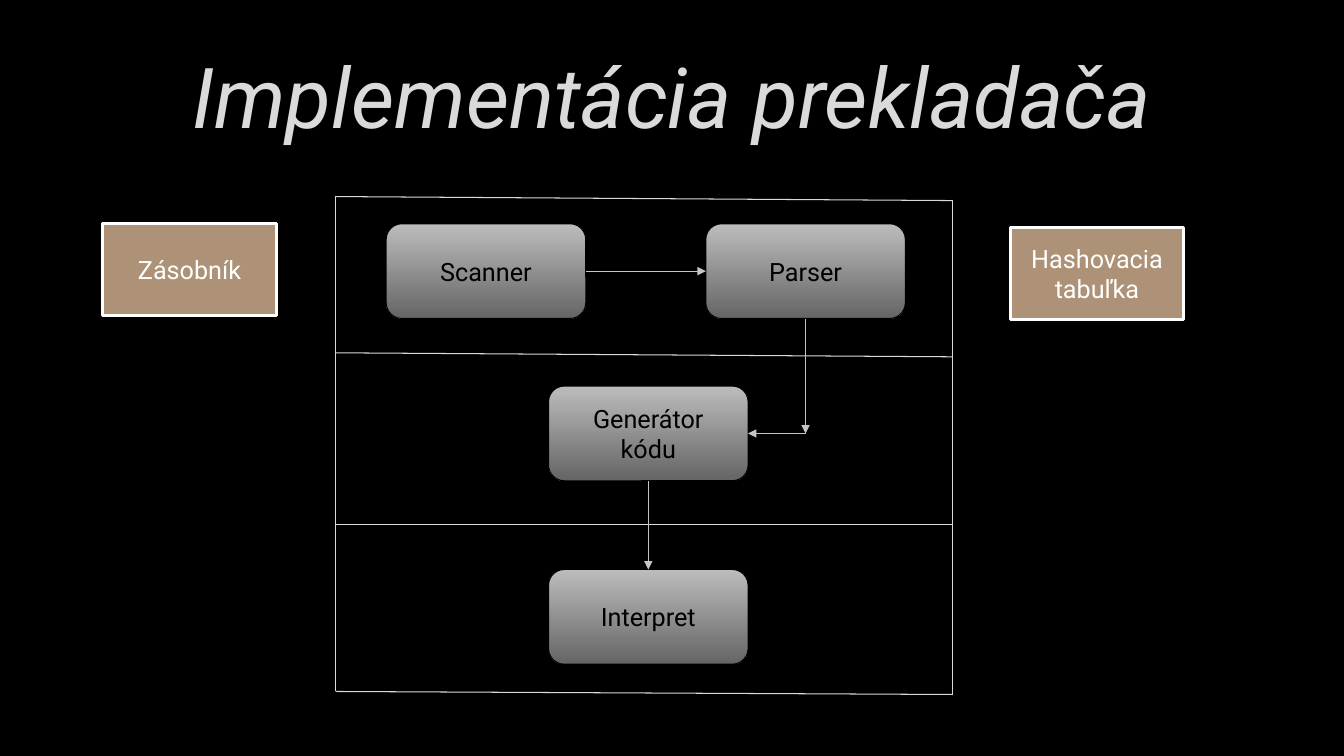
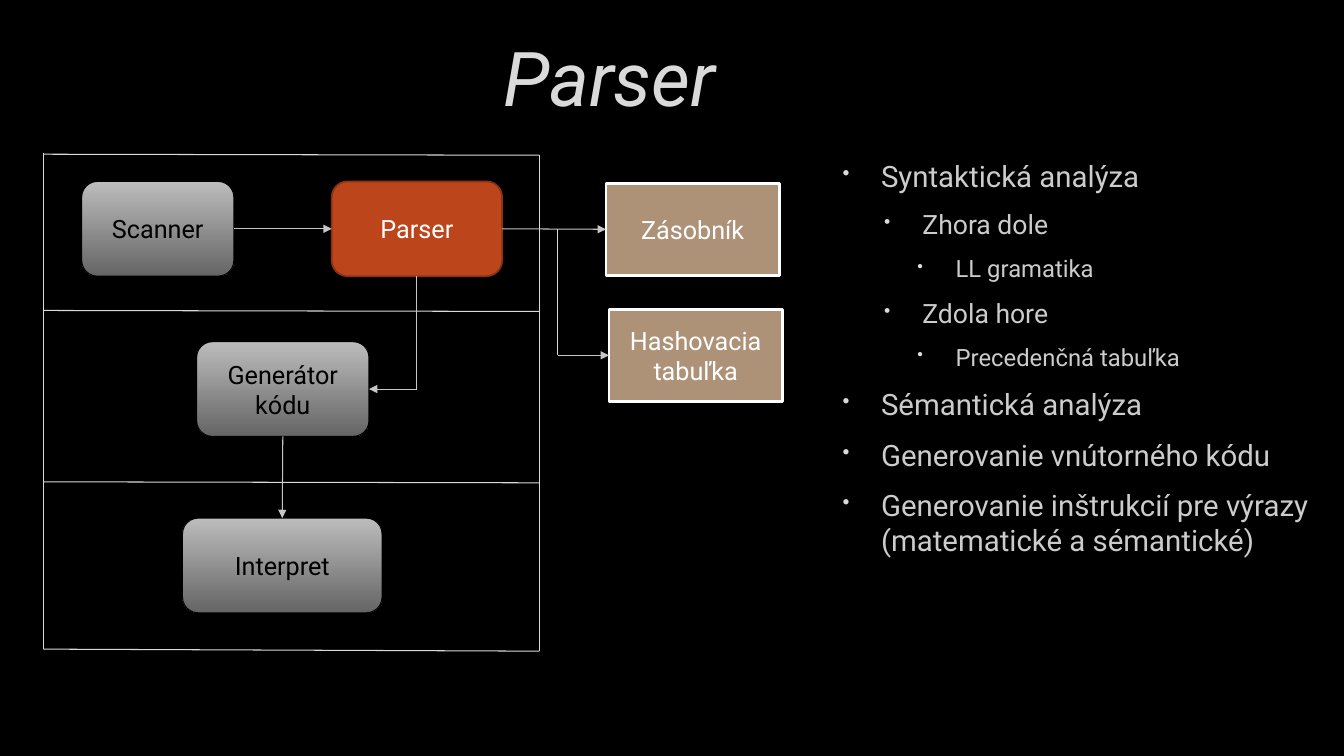
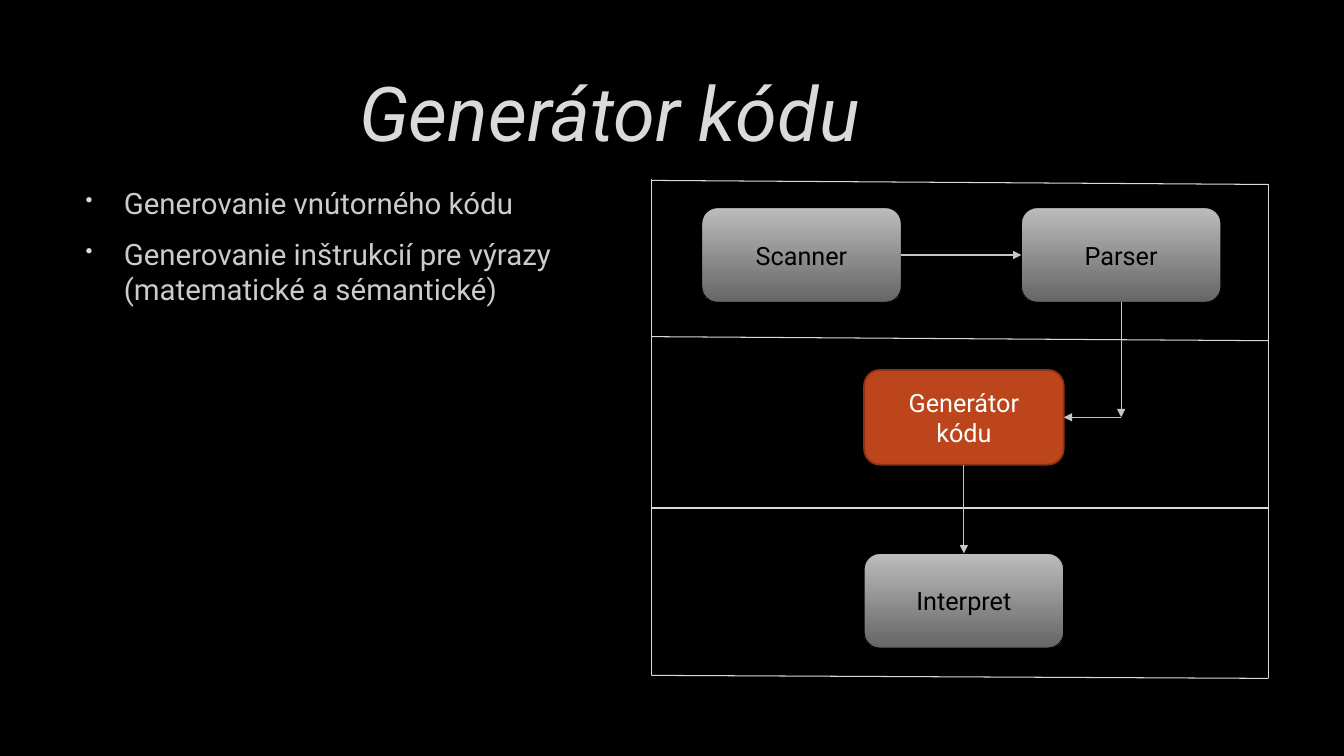
import dataclasses

import lxml.etree
import pptx
import pptx.dml.color
import pptx.enum.shapes
import pptx.enum.text
import pptx.oxml.ns
import pptx.util

Inches = pptx.util.Inches
Pt = pptx.util.Pt
MSO_SHAPE = pptx.enum.shapes.MSO_SHAPE
ALIGN = pptx.enum.text.PP_ALIGN
ANCHOR = pptx.enum.text.MSO_ANCHOR
TOP, LEFT, BOTTOM, RIGHT = range(4)


@dataclasses.dataclass(frozen=True)
class Theme:
    font: str = "Roboto"
    background: str = "000000"
    title: str = "DADADA"
    body: str = "FFFFFF"
    body_opacity: int = 80
    bullet: str = "DADADA"
    stage_gradient: tuple = ("BCBCBC", "656565")
    stage_line: str = "000000"
    stage_text: str = "000000"
    active_fill: str = "BC451B"
    active_line: str = "8B3314"
    active_text: str = "FFFFFF"
    store_fill: str = "AD9277"
    store_line: str = "FFFFFF"
    store_text: str = "FFFFFF"
    arrow: str = "C6C6C9"
    rule: str = "D9D9D9"
    main_title_size: int = 60
    title_size: int = 54
    label_size: int = 18
    body_sizes: tuple = (21, 19, 17)
    body_indents: tuple = (0.38, 0.79, 1.12)
    hanging: float = 0.38


THEME = Theme()


@dataclasses.dataclass(frozen=True)
class PipelineLayout:
    """Frame and stage boxes in inches, measured from the frame's top left."""
    width: float
    slants: tuple      # drop of each horizontal rule from left to right
    scanner: tuple     # left, top, width
    parser: tuple
    generator: tuple
    interpreter: tuple
    row_tops: tuple = (0.01, 1.56, 3.26, 4.92)
    stage_height: float = 0.94


WIDE = PipelineLayout(
    width=6.12, slants=(0.04, 0.04, 0, 0.03),
    scanner=(0.5, 0.28, 1.98), parser=(3.67, 0.28, 1.98),
    generator=(2.11, 1.89, 1.98), interpreter=(2.11, 3.71, 1.98))
NARROW = PipelineLayout(
    width=4.92, slants=(0.01, 0.01, 0.01, 0.02),
    scanner=(0.38, 0.28, 1.51), parser=(2.86, 0.28, 1.69),
    generator=(1.52, 1.87, 1.71), interpreter=(1.38, 3.62, 1.98))


def rgb(code):
    return pptx.dml.color.RGBColor.from_string(code)


def child(parent, tag, **attributes):
    element = lxml.etree.SubElement(parent, pptx.oxml.ns.qn(tag))
    for key, value in attributes.items():
        element.set(key, str(value))
    return element


def write(paragraph, text, *, size, color, italic=False, align=None, opacity=100):
    run = paragraph.add_run()
    run.text = text
    run.font.name = THEME.font
    run.font.size = Pt(size)
    run.font.italic = italic
    run.font.color.rgb = rgb(color)
    if opacity < 100:
        tint = run.font.fill._xPr.find(".//" + pptx.oxml.ns.qn("a:srgbClr"))
        child(tint, "a:alpha", val=opacity * 1000)
    if align is not None:
        paragraph.alignment = align


def add_frame(slide, box, anchor):
    frame = slide.shapes.add_textbox(*map(Inches, box)).text_frame
    frame.word_wrap = True
    frame.vertical_anchor = anchor
    return frame


def add_title(slide, text, box, size=THEME.title_size):
    frame = add_frame(slide, box, ANCHOR.BOTTOM)
    write(frame.paragraphs[0], text, size=size, color=THEME.title,
          italic=True, align=ALIGN.CENTER)


def add_bullets(slide, items, box):
    """Place (level, text) items as a bulleted list."""
    frame = add_frame(slide, box, ANCHOR.TOP)
    for index, (level, text) in enumerate(items):
        paragraph = frame.add_paragraph() if index else frame.paragraphs[0]
        size = THEME.body_sizes[level]
        write(paragraph, text, size=size, color=THEME.body, opacity=THEME.body_opacity)
        paragraph.level = level
        paragraph.space_before = Pt(round(size * 0.23, 1))
        paragraph.space_after = Pt(6)
        properties = paragraph._p.get_or_add_pPr()
        properties.set("marL", str(Inches(THEME.body_indents[level])))
        properties.set("indent", str(-Inches(THEME.hanging)))
        child(child(properties, "a:buClr"), "a:srgbClr", val=THEME.bullet)
        child(properties, "a:buSzPct", val=70000)
        child(properties, "a:buChar", char="•")


def add_box(slide, kind, text, box, *, line, line_width, color, fill=None):
    """Add a labelled box; without a fill it gets the stage gradient."""
    shape = slide.shapes.add_shape(kind, *map(Inches, box))
    shape.shadow.inherit = False
    if fill:
        shape.fill.solid()
        shape.fill.fore_color.rgb = rgb(fill)
    else:
        shape.fill.gradient()
        shape.fill.gradient_angle = 270
        for stop, code, position in zip(shape.fill.gradient_stops, THEME.stage_gradient, (0, 1)):
            stop.color.rgb = rgb(code)
            stop.position = position
    shape.line.color.rgb = rgb(line)
    shape.line.width = Pt(line_width)
    frame = shape.text_frame
    frame.word_wrap = True
    frame.vertical_anchor = ANCHOR.MIDDLE
    frame.margin_left = frame.margin_right = Inches(0.12)
    write(frame.paragraphs[0], text, size=THEME.label_size, color=color, align=ALIGN.CENTER)
    return shape


def add_stage(slide, text, box, active):
    if active:
        look = dict(fill=THEME.active_fill, line=THEME.active_line,
                    line_width=1.25, color=THEME.active_text)
    else:
        look = dict(line=THEME.stage_line, line_width=0.75, color=THEME.stage_text)
    return add_box(slide, MSO_SHAPE.ROUNDED_RECTANGLE, text, box, **look)


def add_store(slide, text, left, top):
    return add_box(slide, MSO_SHAPE.RECTANGLE, text, (left, top, 1.72, 0.91),
                   fill=THEME.store_fill, line=THEME.store_line,
                   line_width=2, color=THEME.store_text)


def side_point(shape, side):
    middle_x = shape.left + shape.width // 2
    middle_y = shape.top + shape.height // 2
    return {TOP: (middle_x, shape.top),
            LEFT: (shape.left, middle_y),
            BOTTOM: (middle_x, shape.top + shape.height),
            RIGHT: (shape.left + shape.width, middle_y)}[side]


def connect(slide, start, end, *, color=THEME.arrow, head=True):
    """Draw a line; each end is an (x, y) point or a (shape, side) pair."""
    joints = [None if isinstance(e[0], int) else e for e in (start, end)]
    points = [side_point(*j) if j else e for j, e in zip(joints, (start, end))]
    line = slide.shapes.add_connector(
        pptx.enum.shapes.MSO_CONNECTOR.STRAIGHT, *points[0], *points[1])
    if joints[0]:
        line.begin_connect(*joints[0])
    if joints[1]:
        line.end_connect(*joints[1])
    line.line.color.rgb = rgb(color)
    line.line.width = Pt(0.75)
    if head:
        child(line.line._get_or_add_ln(), "a:tailEnd", type="triangle")
    child(line._element.spPr, "a:effectLst")


def add_lanes(slide, left, top, layout):
    """Draw the three-row frame behind the stages."""
    right = left + layout.width
    first, last = layout.row_tops[0], layout.row_tops[-1]
    rules = [(left, top + y, right, top + y + slant)
             for y, slant in zip(layout.row_tops, layout.slants)]
    rules.append((left, top, left, top + last))
    rules.append((right, top + first + layout.slants[0],
                  right, top + last + layout.slants[-1]))
    for x1, y1, x2, y2 in rules:
        connect(slide, (Inches(x1), Inches(y1)), (Inches(x2), Inches(y2)),
                color=THEME.rule, head=False)


def add_pipeline(slide, left, top, layout, active=None, corner_head=True):
    """Draw the compiler stages in their frame and return the parser box."""
    add_lanes(slide, left, top, layout)

    def stage(text, place):
        x, y, width = place
        return add_stage(slide, text, (left + x, top + y, width, layout.stage_height),
                         text == active)

    scanner = stage("Scanner", layout.scanner)
    parser = stage("Parser", layout.parser)
    generator = stage("Generátor kódu", layout.generator)
    interpreter = stage("Interpret", layout.interpreter)
    corner = (side_point(parser, BOTTOM)[0], side_point(generator, RIGHT)[1])
    connect(slide, (scanner, RIGHT), (parser, LEFT))
    connect(slide, (parser, BOTTOM), corner, head=corner_head)
    connect(slide, corner, (generator, RIGHT))
    connect(slide, (generator, BOTTOM), (interpreter, TOP))
    return parser


def new_slide(deck):
    slide = deck.slides.add_slide(deck.slide_layouts[6])
    slide.background.fill.solid()
    slide.background.fill.fore_color.rgb = rgb(THEME.background)
    return slide


def overview_slide(deck):
    slide = new_slide(deck)
    add_title(slide, "Implementácia prekladača", (1.37, 0.24, 10.59, 1.25),
              size=THEME.main_title_size)
    add_pipeline(slide, 3.33, 1.94, WIDE)
    add_store(slide, "Zásobník", 1.02, 2.22)
    add_store(slide, "Hashovacia tabuľka", 10.02, 2.26)


def parser_slide(deck, shared_items):
    slide = new_slide(deck)
    add_title(slide, "Parser", (0.75, 0.41, 10.59, 0.85))
    add_bullets(slide, [
        (0, "Syntaktická analýza"),
        (1, "Zhora dole"),
        (2, "LL gramatika"),
        (1, "Zdola hore"),
        (2, "Precedenčná tabuľka"),
        (0, "Sémantická analýza"),
        *shared_items,
    ], (8.26, 1.52, 5.08, 4.96))
    parser = add_pipeline(slide, 0.43, 1.52, NARROW, active="Parser", corner_head=False)
    stack = add_store(slide, "Zásobník", 6.01, 1.82)
    hash_table = add_store(slide, "Hashovacia tabuľka", 6.04, 3.07)
    connect(slide, (parser, RIGHT), (stack, LEFT))
    branch_x = Inches(5.53)
    branch_end = (branch_x, side_point(hash_table, LEFT)[1])
    connect(slide, (branch_x, side_point(parser, RIGHT)[1]), branch_end,
            color=THEME.rule, head=False)
    connect(slide, branch_end, (hash_table, LEFT))


def generator_slide(deck, shared_items):
    slide = new_slide(deck)
    add_title(slide, "Generátor kódu", (0.75, 0.75, 10.59, 0.85))
    add_bullets(slide, shared_items, (0.75, 1.79, 5.25, 4.96))
    add_pipeline(slide, 6.46, 1.78, WIDE, active="Generátor kódu")


def main():
    deck = pptx.Presentation()
    deck.slide_width, deck.slide_height = Inches(13.33), Inches(7.5)
    generation_items = [
        (0, "Generovanie vnútorného kódu"),
        (0, "Generovanie inštrukcií pre výrazy (matematické a sémantické)"),
    ]
    overview_slide(deck)
    parser_slide(deck, generation_items)
    generator_slide(deck, generation_items)
    deck.save("out.pptx")


if __name__ == "__main__":
    main()
